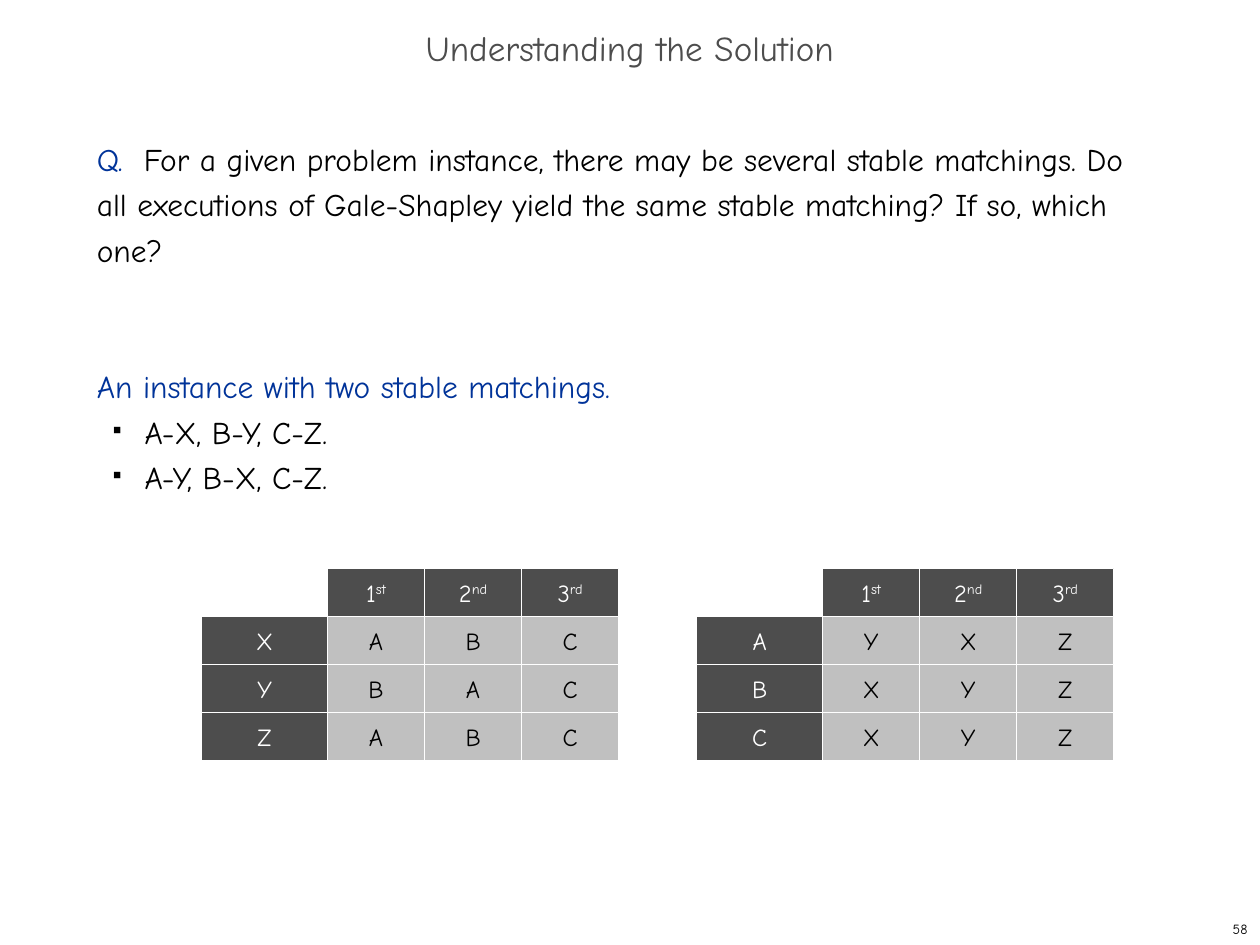
import pptx
import pptx.util
import pptx.dml.color
import pptx.enum.shapes
import pptx.enum.text
import pptx.oxml
import pptx.oxml.ns
from dataclasses import dataclass

Inches, Pt = pptx.util.Inches, pptx.util.Pt
ALIGN = pptx.enum.text.PP_ALIGN
MIDDLE = pptx.enum.text.MSO_ANCHOR.MIDDLE
RECTANGLE = pptx.enum.shapes.MSO_SHAPE.RECTANGLE


@dataclass(frozen=True)
class Theme:
    font: str = "Comic Neue"
    black: str = "000000"
    white: str = "FFFFFF"
    blue: str = "003399"
    dark: str = "4D4D4D"
    light: str = "C0C0C0"
    title_size: int = 20
    body_size: int = 18
    cell_size: int = 14
    number_size: int = 8


T = Theme()
RANKS = [("1", "st"), ("2", "nd"), ("3", "rd")]
GRID_TOP, GRID_HEIGHT = 4.51, 1.53
NAME_WIDTH, CHOICE_WIDTH = 1, 0.77


def rgb(value):
    return pptx.dml.color.RGBColor.from_string(value)


def set_attrs(obj, **formats):
    for name, value in formats.items():
        setattr(obj, name, value)


def add_run(p, text, size, color, superscript=False):
    r = p.add_run()
    r.text = text
    set_attrs(r.font, name=T.font, size=Pt(size))
    r.font.color.rgb = rgb(color)
    if superscript:
        r.font._element.set("baseline", "30000")


def add_title(slide, text):
    sp = slide.shapes.title
    set_attrs(sp, left=Inches(0), top=Inches(0.17), width=Inches(10), height=Inches(0.5))
    set_attrs(sp.text_frame, vertical_anchor=MIDDLE, word_wrap=True)
    p = sp.text_frame.paragraphs[0]
    set_attrs(p, alignment=ALIGN.CENTER, line_spacing=0.7)
    add_run(p, text, T.title_size, T.dark)


def add_text(slide, box, **formats):
    sp = slide.shapes.add_textbox(*map(Inches, box))
    set_attrs(sp.text_frame, **formats)
    return sp.text_frame


def add_bullet(p):
    pPr = p._p.get_or_add_pPr()
    pPr.set("marL", str(Inches(0.38)))
    pPr.set("indent", str(Inches(-0.25)))
    for tag in ('buSzPct val="35000"', 'buChar char="■"'):
        name, attribute = tag.split(" ")
        pPr.append(pptx.oxml.parse_xml(
            f"<a:{name} {pptx.oxml.ns.nsdecls('a')} {attribute}/>"))


def add_body(slide, paragraphs):
    tf = add_text(slide, (0.67, 1, 8.58, 5.92), word_wrap=True)
    for i, (runs, gap, bullet) in enumerate(paragraphs):
        p = tf.add_paragraph() if i else tf.paragraphs[0]
        set_attrs(p, line_spacing=Pt(26), space_before=Pt(gap))
        if bullet:
            add_bullet(p)
        for text, color in runs:
            add_run(p, text, T.body_size, color)


def add_cell(slide, box, parts, fill, color):
    sp = slide.shapes.add_shape(RECTANGLE, *map(Inches, box))
    sp.shadow.inherit = False
    sp.fill.solid()
    sp.fill.fore_color.rgb = rgb(fill)
    sp.line.color.rgb = rgb(T.white)
    sp.line.width = Pt(0.75)
    set_attrs(sp.text_frame, vertical_anchor=MIDDLE, word_wrap=False)
    p = sp.text_frame.paragraphs[0]
    p.alignment = ALIGN.CENTER
    for i, text in enumerate(parts):
        add_run(p, text, T.cell_size, color, superscript=i > 0)


def add_preferences(slide, left, preferences):
    rows = [["", *RANKS]] + [list(name + choices) for name, choices in preferences.items()]
    height = GRID_HEIGHT / len(rows)
    for c, column in enumerate(zip(*rows)):
        x = left + (NAME_WIDTH + (c - 1) * CHOICE_WIDTH if c else 0)
        width = CHOICE_WIDTH if c else NAME_WIDTH
        for r, parts in reversed(list(enumerate(column))):
            if parts:
                colors = (T.light, T.black) if r and c else (T.dark, T.white)
                add_cell(slide, (x, GRID_TOP + r * height, width, height), parts, *colors)


def add_slide_number(slide, number):
    tf = add_text(slide, (7.92, 7.25, 2.08, 0.25), word_wrap=False, vertical_anchor=MIDDLE)
    p = tf.paragraphs[0]
    p.alignment = ALIGN.RIGHT
    add_run(p, number, T.number_size, T.black)


def main():
    prs = pptx.Presentation()
    set_attrs(prs, slide_width=Inches(10), slide_height=Inches(7.5))
    slide = prs.slides.add_slide(prs.slide_layouts[5])
    add_slide_number(slide, "58")
    add_title(slide, "Understanding the Solution")
    question = ("For a given problem instance, there may be several stable matchings. "
                "Do all executions of Gale-Shapley yield the same stable matching? "
                "If so, which one?")
    add_body(slide, [
        ([("Q.  ", T.blue), (question, T.black)], 0, False),
        ([("An instance with two stable matchings.", T.blue)], 52, False),
        ([("A-X, B-Y, C-Z.", T.black)], 0, True),
        ([("A-Y, B-X, C-Z.", T.black)], 0, True),
    ])
    add_preferences(slide, 1.6, {"X": "ABC", "Y": "BAC", "Z": "ABC"})
    add_preferences(slide, 5.53, {"A": "YXZ", "B": "XYZ", "C": "XYZ"})
    prs.save("out.pptx")


main()
